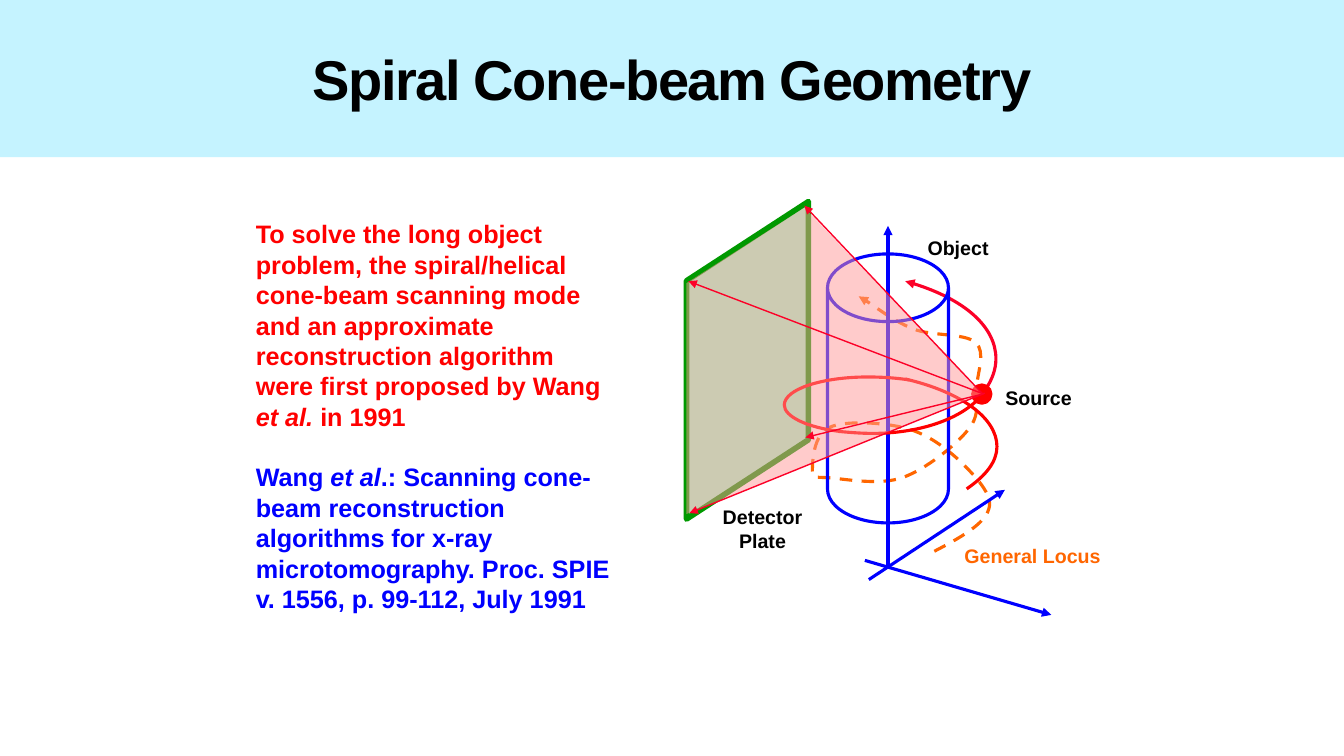
import pptx
import pptx.dml.color
import pptx.enum.dml
import pptx.enum.shapes
import pptx.enum.text
import pptx.oxml
import pptx.util
from pptx.oxml.ns import qn

Pt = pptx.util.Pt
SHAPES = pptx.enum.shapes.MSO_SHAPE
ALIGN = pptx.enum.text.PP_ALIGN
BLACK, BLUE, RED, CRIMSON, ORANGE = "000000", "0000FF", "FF0000", "FC0128", "FF6600"

# Each curve is a start point followed by three points per cubic Bezier segment.
GENERAL_LOCUS = [
    (667.4, 393.8),
    (685.4, 384.5), (703.4, 374.4), (706.3, 363.6),
    (709.9, 353.5), (696.2, 339.8), (686.2, 329.8),
    (676.1, 320.4), (663.1, 310.3), (647.3, 306),
    (631.4, 301.7), (603.4, 300.2), (592.6, 305.3),
    (581, 310.3), (580.3, 329.8), (580.3, 336.2),
    (580.3, 342), (581, 340.6), (591.8, 341.3),
    (602.6, 342), (627.8, 347), (644.4, 341.3),
    (661, 335.5), (682.6, 318.2), (691.2, 307.4),
    (700.6, 296.6), (697, 286.6), (697.7, 275.8),
    (698.4, 265.7), (704.2, 251.3), (697, 244.8),
    (689, 237.6), (665.3, 240.5), (651.6, 234.7),
    (637.9, 229), (621.4, 216), (613.4, 211.7),
]
UPPER_TURN = [
    (646.6, 200.9),
    (686.2, 211.7), (711.4, 233.3), (711.4, 256.3),
    (711.4, 264.2), (708.5, 271.4), (704.2, 277.9),
]
LOWER_TURN = [
    (646.6, 270.7),
    (686.9, 280.1), (712.1, 298.8), (712.1, 319),
    (712.1, 329.8), (704.2, 339.8), (690.5, 349.2),
]
BACK_TURN = [
    (599.8, 308.2),
    (576, 305.3), (560.2, 297.4), (560.2, 289.4),
    (560.2, 277.9), (587.5, 269.3), (619.9, 269.3),
    (630, 269.3), (640.1, 270), (649.4, 271.4),
]
FRONT_TURN = [
    (704.2, 277.9),
    (693.4, 296.6), (661, 309.6), (623.5, 309.6),
    (614.9, 309.6), (607, 308.9), (599, 308.2),
]
BEAM = [(702, 281.5), (574.6, 148.3), (490.3, 202.3), (490.3, 367.2)]
BEAM_RAYS = [
    ((702, 281.5), (575.3, 312.5)),
    ((702.7, 281.5), (491.8, 200.9)),
    ((703.4, 280.8), (492.5, 366.5)),
    ((702, 281.5), (574.6, 146.9)),
]
AXES = [
    ((634.3, 405.4), (634.3, 161.3)),
    ((617.8, 400.3), (751, 439.2)),
    ((620.6, 414), (717.8, 349.9)),
]
LABELS = [
    (["Detector", "Plate"], (508.3, 360.7, 72.7, 33.8), BLACK),
    (["Source"], (717.8, 275.8, 48.2, 17.3), BLACK),
    (["Object"], (662.4, 168.5, 43.9, 17.3), BLACK),
    (["General Locus"], (688.3, 388.8, 98.6, 17.3), ORANGE),
]


def rgb(color):
    return pptx.dml.color.RGBColor.from_string(color)


def set_values(target, values):
    for name, value in values.items():
        setattr(target, name, value)


def set_fill(shape, color):
    if color is None:
        shape.fill.background()
    else:
        shape.fill.solid()
        shape.fill.fore_color.rgb = rgb(color)


def set_line(shape, color, width, arrow=None):
    """Style an outline; arrow is headEnd or tailEnd."""
    shape.line.color.rgb = rgb(color)
    shape.line.width = Pt(width)
    if arrow:
        pptx.oxml.xmlchemy.OxmlElement  # noqa: B018
        end = shape.line._get_or_add_ln().makeelement(qn(f"a:{arrow}"), {"type": "triangle"})
        shape.line._get_or_add_ln().append(end)


def add_span(para, text, color, size, italic=False):
    span = para.add_run()
    span.text = text
    set_values(span.font, {"name": "Arial", "size": Pt(size), "bold": True, "italic": italic})
    span.font.color.rgb = rgb(color)
    return span


def add_preset(page, kind, place, fill, line, width):
    shape = page.shapes.add_shape(kind, *map(Pt, place))
    shape.shadow.inherit = False
    set_fill(shape, fill)
    set_line(shape, line, width)
    return shape


def add_outline(page, points, close=False):
    start, *rest = [(Pt(x), Pt(y)) for x, y in points]
    builder = page.shapes.build_freeform(*start)
    builder.add_line_segments(rest, close=close)
    shape = builder.convert_to_shape()
    shape.shadow.inherit = False
    return shape


def add_curve(page, points, color, arrow=None):
    """Draw cubic segments by grouping the straight steps three at a time."""
    shape = add_outline(page, points)
    set_fill(shape, None)
    set_line(shape, color, 2.25, arrow)
    path = next(shape._element.iter(qn("a:path")))
    steps = path.findall(qn("a:lnTo"))
    for index in range(0, len(steps), 3):
        cubic = path.makeelement(qn("a:cubicBezTo"), {})
        path.append(cubic)
        for step in steps[index:index + 3]:
            cubic.append(step[0])
            path.remove(step)
    return shape


def add_arrow(page, start, end, color, width):
    arrow = page.shapes.add_connector(
        pptx.enum.shapes.MSO_CONNECTOR.STRAIGHT, *map(Pt, start + end))
    set_line(arrow, color, width, "tailEnd")
    properties = arrow._element.spPr
    properties.append(properties.makeelement(qn("a:effectLst"), {}))


def add_label(page, lines, place, color):
    box = page.shapes.add_textbox(*map(Pt, place))
    frame = box.text_frame
    set_values(frame, dict.fromkeys(
        ("margin_left", "margin_top", "margin_right", "margin_bottom"), 0))
    frame.word_wrap = len(lines) > 1
    for index, line in enumerate(lines):
        para = frame.add_paragraph() if index else frame.paragraphs[0]
        para.alignment = ALIGN.CENTER
        add_span(para, line, color, 14)


def add_title(page, text):
    title = page.shapes.title
    set_values(title, {"left": 0, "top": 0, "width": Pt(960), "height": Pt(112.3)})
    set_fill(title, "C5F3FF")
    title.text_frame.vertical_anchor = pptx.enum.text.MSO_ANCHOR.MIDDLE
    para = title.text_frame.paragraphs[0]
    para.alignment = ALIGN.CENTER
    span = add_span(para, text, BLACK, 40)
    span.font._element.set("spc", "-100")


def add_summary(page):
    frame = page.shapes.add_textbox(Pt(175.7), Pt(152.6), Pt(268.6), Pt(290.9)).text_frame
    frame.word_wrap = True
    finding = frame.paragraphs[0]
    add_span(finding, "To solve the long object problem, the spiral/helical cone-beam scanning "
             "mode and an approximate reconstruction algorithm were first proposed by Wang ",
             RED, 18)
    add_span(finding, "et al.", RED, 18, italic=True)
    add_span(finding, " in 1991", RED, 18)
    citation = frame.add_paragraph()
    citation.space_before = Pt(21.6)
    add_span(citation, "Wang ", BLUE, 18)
    add_span(citation, "et al", BLUE, 18, italic=True)
    add_span(citation, ".: Scanning cone-beam reconstruction algorithms for x-ray "
             "microtomography. Proc. SPIE v. 1556, p. 99-112, July 1991", BLUE, 18)
    for para in frame.paragraphs:
        para.line_spacing = Pt(21.7)


def add_detector(page):
    plate = add_preset(page, SHAPES.PARALLELOGRAM, (420.5, 213.8, 226.8, 87.1),
                       "99FFCC", "009900", 4)
    plate.adjustments[0] = 0.65
    plate.rotation = 90
    plate._element.spPr.xfrm.set("flipV", "1")


def add_beam(page):
    beam = add_outline(page, BEAM, close=True)
    set_fill(beam, "FF9999")
    beam.line.fill.background()
    color = next(beam._element.spPr.iter(qn("a:srgbClr")))
    color.append(color.makeelement(qn("a:alpha"), {"val": "50000"}))
    for start, end in BEAM_RAYS:
        add_arrow(page, start, end, CRIMSON, 1)


def main():
    deck = pptx.Presentation()
    set_values(deck, {"slide_width": Pt(960), "slide_height": Pt(540)})
    page = deck.slides.add_slide(deck.slide_layouts[5])
    add_title(page, "Spiral Cone-beam Geometry")
    locus = add_curve(page, GENERAL_LOCUS, ORANGE, "tailEnd")
    locus.line.dash_style = pptx.enum.dml.MSO_LINE.DASH
    add_curve(page, UPPER_TURN, CRIMSON, "headEnd")
    cylinder = add_preset(page, SHAPES.CAN, (591.1, 181.4, 86.4, 192.2), None, BLUE, 2.25)
    cylinder.adjustments[0] = 0.56
    for start, end in AXES:
        add_arrow(page, start, end, BLUE, 2.25)
    add_detector(page)
    add_summary(page)
    for turn in (LOWER_TURN, BACK_TURN, FRONT_TURN):
        add_curve(page, turn, RED)
    add_preset(page, SHAPES.OVAL, (694.8, 275, 13, 13), RED, RED, 2.25)
    add_beam(page)
    for lines, place, color in LABELS:
        add_label(page, lines, place, color)
    deck.save("out.pptx")


if __name__ == "__main__":
    main()
